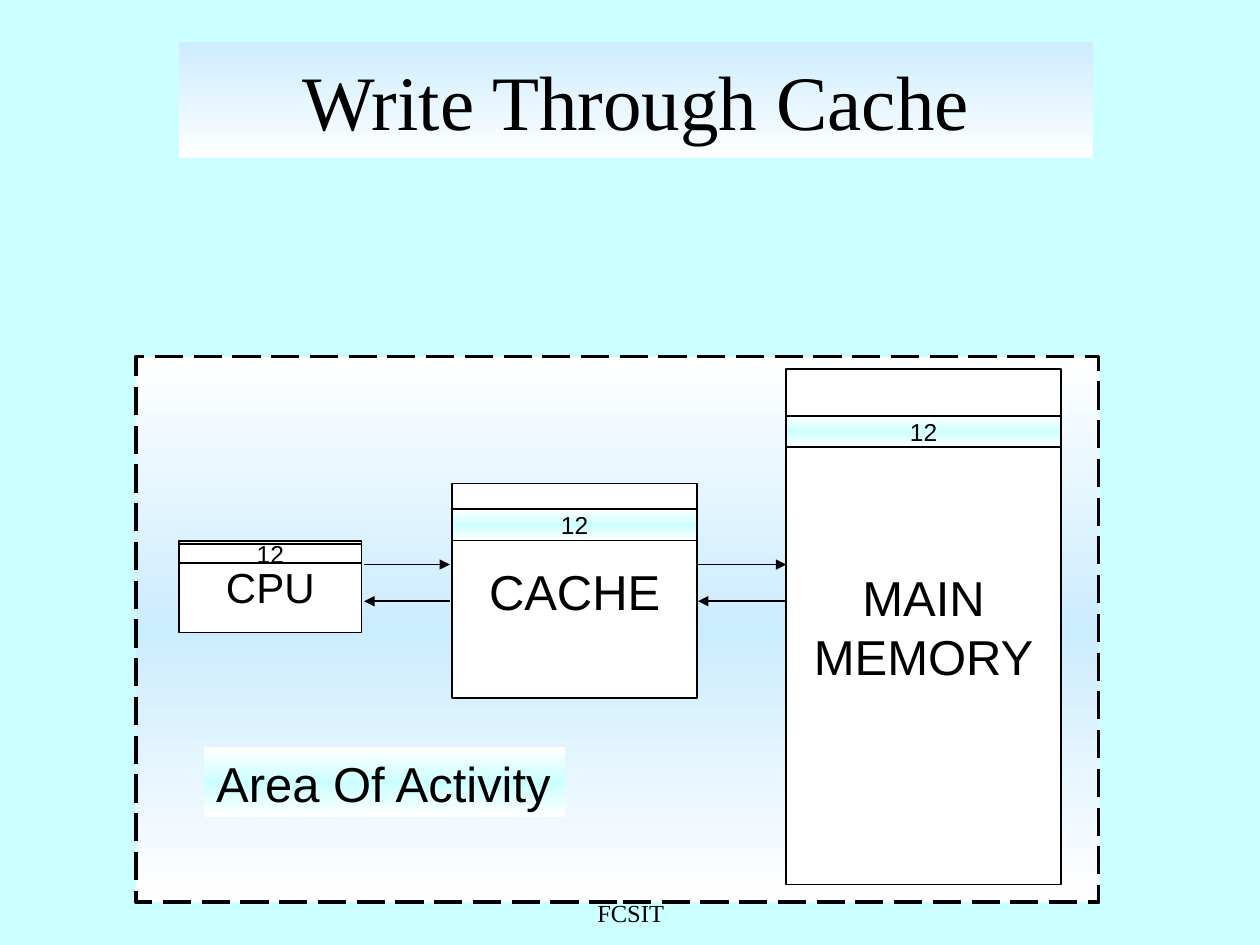
from lxml import etree
from pptx import Presentation
from pptx import util as u
from pptx.dml.color import RGBColor
from pptx.enum import dml, shapes, text
from pptx.oxml.ns import qn

SERIF, SANS = "Times New Roman", "Arial"
BLACK, WHITE, AQUA, SKY = "000000", "FFFFFF", "CCFFFF", "CCECFF"
AQUA_BAND = (WHITE, AQUA, WHITE)

FOOTER = dict(place=(8.69, 17.98, 8.05, 0.64), lines=["FCSIT"], font=SERIF, size=14,
              anchor="TOP", wrap=True)
TITLE = dict(place=(3.61, 0.84, 18.42, 2.34), lines=["Write Through Cache"], font=SERIF,
             size=44, fill=(SKY, WHITE), wrap=True)
ACTIVITY_FRAME = dict(place=(2.74, 7.19, 19.41, 11), fill=(WHITE, SKY, WHITE),
                      border=2, dash=dml.MSO_LINE.LONG_DASH)
ACTIVITY_LABEL = dict(place=(4.11, 15.06, 7.29, 1.42), lines=["Area Of Activity"], size=28,
                      fill=AQUA_BAND, anchor="TOP", align="LEFT")

UNITS = [
    dict(place=(3.61, 10.9, 3.68, 1.85), lines=["CPU"], size=24,
         word_top=10.97, word_height=0.38, word_fill=(WHITE,)),
    dict(place=(15.85, 7.44, 5.54, 10.39), lines=["MAIN", "MEMORY"], size=28,
         word_top=8.38, word_height=0.64, word_fill=AQUA_BAND),
    dict(place=(9.12, 9.75, 4.93, 4.32), lines=["CACHE"], size=28,
         word_top=10.26, word_height=0.64, word_fill=AQUA_BAND),
]
WORD = "12"
BUS_SPANS = [(7.34, 9.07), (14.07, 15.85)]
BUS_LANES = [(11.38, "tailEnd"), (12.12, "headEnd")]


def colour(value):
    return RGBColor.from_string(value)


def assign(target, values):
    for name, value in values.items():
        setattr(target, name, value)


def paint(shape, colours):
    if not colours:
        shape.fill.background()
    elif len(colours) == 1:
        shape.fill.solid()
        shape.fill.fore_color.rgb = colour(colours[0])
    else:
        shape.fill.gradient()
        shape.fill.gradient_angle = 270
        stops = shape.fill._fill._gradFill.find(qn("a:gsLst"))
        for stop in list(stops):
            stops.remove(stop)
        for index, value in enumerate(colours):
            position = str(100000 * index // (len(colours) - 1))
            stop = etree.SubElement(stops, qn("a:gs"), pos=position)
            etree.SubElement(stop, qn("a:srgbClr"), val=value)


def add_box(page, place, lines=(), font=SANS, size=14, fill=(), border=0, dash=None,
            anchor="MIDDLE", align="CENTER", wrap=False):
    box = page.shapes.add_shape(shapes.MSO_SHAPE.RECTANGLE, *map(u.Cm, place))
    box.shadow.inherit = False
    paint(box, fill)
    if border:
        box.line.color.rgb = colour(BLACK)
        assign(box.line, dict(width=u.Pt(border), dash_style=dash))
    else:
        box.line.fill.background()
    frame = box.text_frame
    assign(frame, dict(word_wrap=wrap, vertical_anchor=text.MSO_ANCHOR[anchor]))
    for index, line in enumerate(lines):
        para = frame.add_paragraph() if index else frame.paragraphs[0]
        para.alignment = text.PP_ALIGN[align]
        span = para.add_run()
        span.text = line
        assign(span.font, dict(name=font, size=u.Pt(size)))
        span.font.color.rgb = colour(BLACK)


def add_arrow(page, left, right, top, end):
    arrow = page.shapes.add_connector(shapes.MSO_CONNECTOR.STRAIGHT,
                                      *map(u.Cm, (left, top, right, top)))
    arrow.line.color.rgb = colour(BLACK)
    arrow.line.width = u.Pt(1)
    etree.SubElement(arrow.line._get_or_add_ln(), qn("a:" + end), type="triangle")
    etree.SubElement(arrow._element.spPr, qn("a:effectLst"))


def main():
    deck = Presentation()
    assign(deck, dict(slide_width=u.Cm(25.4), slide_height=u.Cm(19.05)))
    page = deck.slides.add_slide(deck.slide_layouts[6])
    page.background.fill.solid()
    page.background.fill.fore_color.rgb = colour(AQUA)

    for box in (FOOTER, TITLE, ACTIVITY_FRAME):
        add_box(page, **box)
    for unit in UNITS:
        add_box(page, unit["place"], unit["lines"], size=unit["size"], fill=(WHITE,), border=1)
    for left, right in BUS_SPANS:
        for top, end in BUS_LANES:
            add_arrow(page, left, right, top, end)
    for unit in UNITS:
        left, _, width, _ = unit["place"]
        add_box(page, (left, unit["word_top"], width, unit["word_height"]), [WORD],
                fill=unit["word_fill"], border=1)
    add_box(page, **ACTIVITY_LABEL)
    deck.save("out.pptx")


if __name__ == "__main__":
    main()
